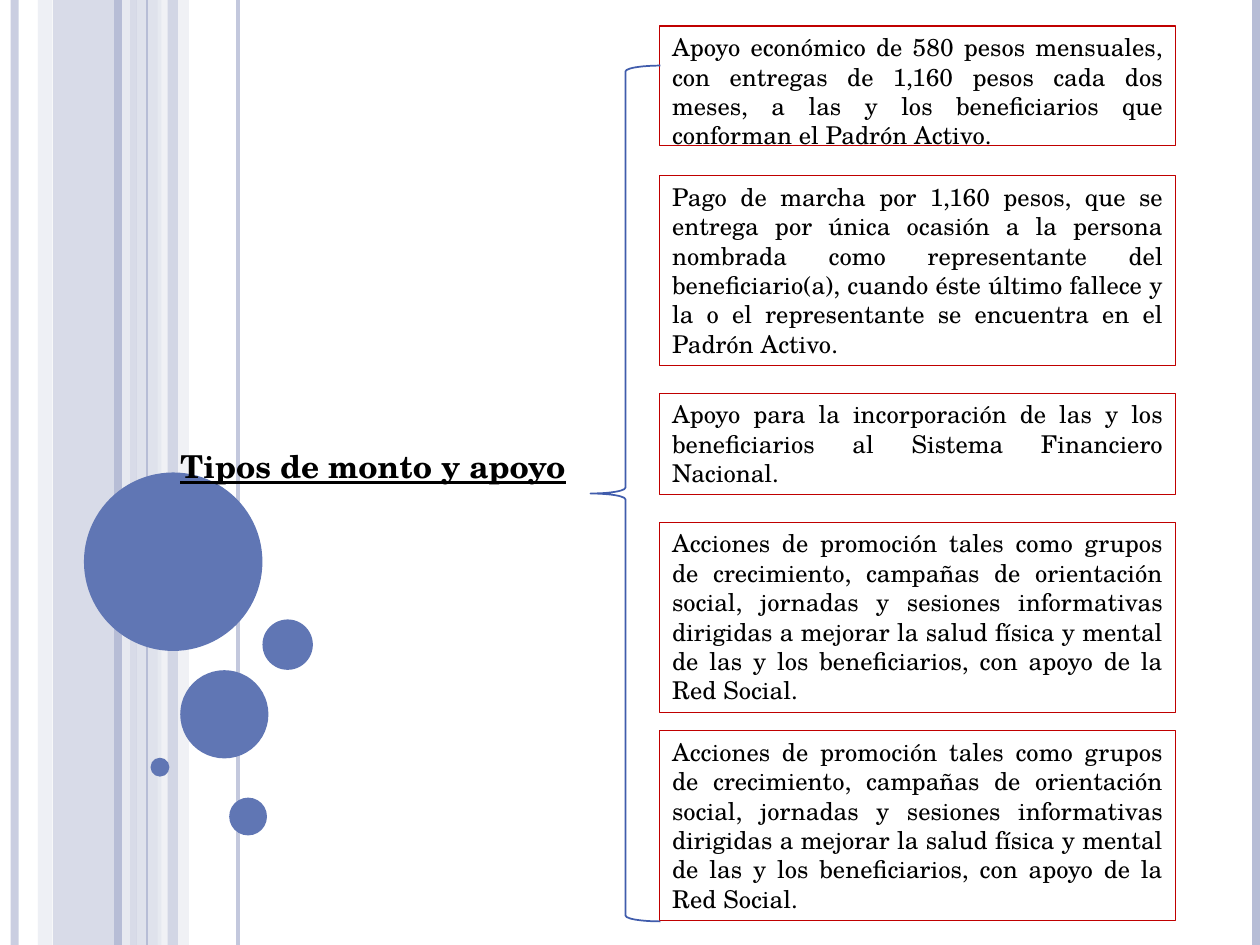
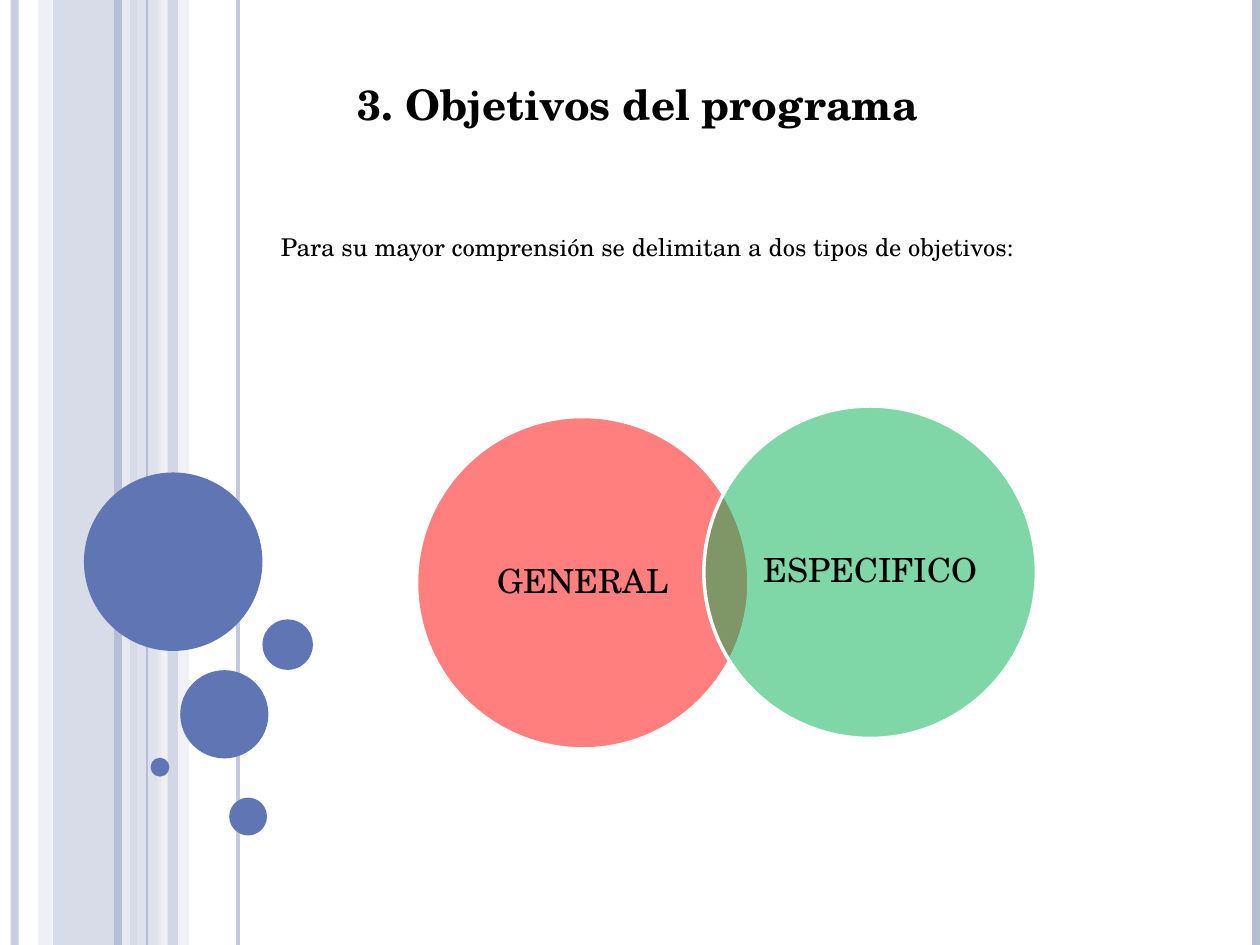
from lxml.etree import SubElement
from pptx import Presentation
from pptx.dml.color import RGBColor
from pptx.enum.shapes import MSO_CONNECTOR, MSO_SHAPE
from pptx.enum.text import MSO_ANCHOR, MSO_AUTO_SIZE, PP_ALIGN
from pptx.oxml.ns import qn
from pptx.util import Pt

BLACK = RGBColor(0x00, 0x00, 0x00)
WHITE = RGBColor(0xFF, 0xFF, 0xFF)
LAVENDER = RGBColor(0xB7, 0xBD, 0xD6)
MIST = RGBColor(0xD2, 0xD6, 0xE5)
PALE = RGBColor(0xEA, 0xEC, 0xF2)
BLUE = RGBColor(0x60, 0x76, 0xB4)
BRACE_BLUE = RGBColor(0x40, 0x5C, 0xAC)
DARK_RED = RGBColor(0xC0, 0x00, 0x00)
RED = RGBColor(0xFF, 0x00, 0x00)
GREEN = RGBColor(0x00, 0xB0, 0x50)

FONT = "TeX Gyre Schola"
SLIDE_WIDTH, SLIDE_HEIGHT = 720, 540
BODY = {"size": Pt(14)}
TITLE = {"size": Pt(18), "bold": True, "underline": True}
HEADING = {"size": Pt(24), "bold": True}
CIRCLE_LABEL = {"size": Pt(19)}


def draw(slide, kind, box, fill=None, opacity=100, line=None, line_width=0.75):
    shape = slide.shapes.add_shape(kind, *[Pt(value) for value in box])
    shape.shadow.inherit = False
    if fill is None:
        shape.fill.background()
    else:
        shape.fill.solid()
        shape.fill.fore_color.rgb = fill
        color = shape.element.spPr.find(qn("a:solidFill"))[0]
        SubElement(color, qn("a:alpha"), val=str(opacity * 1000))
    if line is None:
        shape.line.fill.background()
    else:
        shape.line.color.rgb = line
        shape.line.width = Pt(line_width)
    return shape


def write(shape, text, font_format, align, anchor=MSO_ANCHOR.TOP):
    frame = shape.text_frame
    frame.text = text
    frame.word_wrap = True
    frame.auto_size = MSO_AUTO_SIZE.NONE
    frame.vertical_anchor = anchor
    paragraph = frame.paragraphs[0]
    paragraph.alignment = align
    for name, value in {"name": FONT, **font_format}.items():
        setattr(paragraph.font, name, value)
    paragraph.font.color.rgb = BLACK
    return paragraph


presentation = Presentation()
presentation.slide_width = Pt(SLIDE_WIDTH)
presentation.slide_height = Pt(SLIDE_HEIGHT)
layout = presentation.slide_layouts[5]
support_slide = presentation.slides.add_slide(layout)

bands = [
    (30.24, 48, LAVENDER, 54),
    (21.6, 8.2, MIST, 36),
    (77.9, 14.4, MIST, 70),
    (90, 18, PALE, 71),
]
stripes = [
    (8.4, LAVENDER, 4.5, 73),
    (72, PALE, 4.5, 83),
    (67.2, LAVENDER, 4.5, 100),
    (136, LAVENDER, 2.25, 82),
    (84, LAVENDER, 0.75, 100),
    (717.8, LAVENDER, 4.5, 100),
]
bubbles = [
    (48, 270, 102),
    (103, 383, 50.4),
    (86, 433, 10.8),
    (131, 455.8, 21.6),
    (150, 354, 28.8),
]

decoration = []
for left, width, color, opacity in bands:
    decoration.append(draw(support_slide, MSO_SHAPE.RECTANGLE,
                           (left, 0, width, SLIDE_HEIGHT), color, opacity))
for x, color, width, opacity in stripes:
    stripe = support_slide.shapes.add_connector(
        MSO_CONNECTOR.STRAIGHT, Pt(x), Pt(0), Pt(x), Pt(SLIDE_HEIGHT))
    stripe.line.color.rgb = color
    stripe.line.width = Pt(width)
    line_color = stripe.line._get_or_add_ln().find(qn("a:solidFill"))[0]
    SubElement(line_color, qn("a:alpha"), val=str(opacity * 1000))
    SubElement(stripe.element.spPr, qn("a:effectLst"))
    decoration.append(stripe)
decoration.append(draw(support_slide, MSO_SHAPE.RECTANGLE,
                       (95.8, 0, 5.8, SLIDE_HEIGHT), LAVENDER, 51))
for left, top, diameter in bubbles:
    decoration.append(draw(support_slide, MSO_SHAPE.OVAL,
                           (left, top, diameter, diameter), BLUE))

for number, shape in enumerate(decoration, start=100):
    shape.element.xpath(".//p:cNvPr")[0].set("id", str(number))
    layout.shapes.element.append(shape.element)

objectives_slide = presentation.slides.add_slide(layout)

titles = [
    (support_slide, "Tipos de monto y apoyo", (95.8, 252, 244, 24), TITLE),
    (objectives_slide, "3. Objetivos del programa", (197.3, 41, 449, 36), HEADING),
]
for slide, text, box, font_format in titles:
    title = slide.shapes.title
    for name, value in zip(("left", "top", "width", "height"), box):
        setattr(title, name, Pt(value))
    write(title, text, font_format, PP_ALIGN.LEFT)

promotion = (
    "Acciones de promoción tales como grupos de crecimiento, campañas de "
    "orientación social, jornadas y sesiones informativas dirigidas a mejorar la "
    "salud física y mental de las y los beneficiarios, con apoyo de la Red Social."
)
supports = [
    (14.8, 68.4,
     "Apoyo económico de 580 pesos mensuales, con entregas de 1,160 pesos cada dos "
     "meses, a las y los beneficiarios que conforman el Padrón Activo."),
    (100.3, 108.6,
     "Pago de marcha por 1,160 pesos, que se entrega por única ocasión a la persona "
     "nombrada como representante del beneficiario(a), cuando éste último fallece y "
     "la o el representante se encuentra en el Padrón Activo."),
    (224.7, 58,
     "Apoyo para la incorporación de las y los beneficiarios al Sistema Financiero "
     "Nacional."),
    (298.4, 108.6, promotion),
    (417.5, 108.6, promotion),
]
for top, height, text in supports:
    support = draw(support_slide, MSO_SHAPE.RECTANGLE, (377, top, 294.8, height),
                   line=DARK_RED)
    write(support, text, BODY, PP_ALIGN.JUSTIFY)
draw(support_slide, MSO_SHAPE.LEFT_BRACE, (337.4, 37.5, 40, 489),
     line=BRACE_BLUE, line_width=1)

introduction = objectives_slide.shapes.add_textbox(Pt(153.4), Pt(129), Pt(459.4), Pt(24.5))
write(introduction, "Para su mayor comprensión se delimitan a dos tipos de objetivos:",
      BODY, PP_ALIGN.JUSTIFY)

objectives = [
    ("GENERAL", 238, 238, RED),
    ("ESPECIFICO", 402.2, 232, GREEN),
]
for text, left, top, color in objectives:
    circle = draw(objectives_slide, MSO_SHAPE.OVAL, (left, top, 190, 190),
                  color, 50, WHITE, 2)
    label = write(circle, text, CIRCLE_LABEL, PP_ALIGN.CENTER, MSO_ANCHOR.MIDDLE)
    label.line_spacing = 0.9
    for side in ("left", "right", "top", "bottom"):
        setattr(circle.text_frame, f"margin_{side}", Pt(5))

presentation.save("out.pptx")
